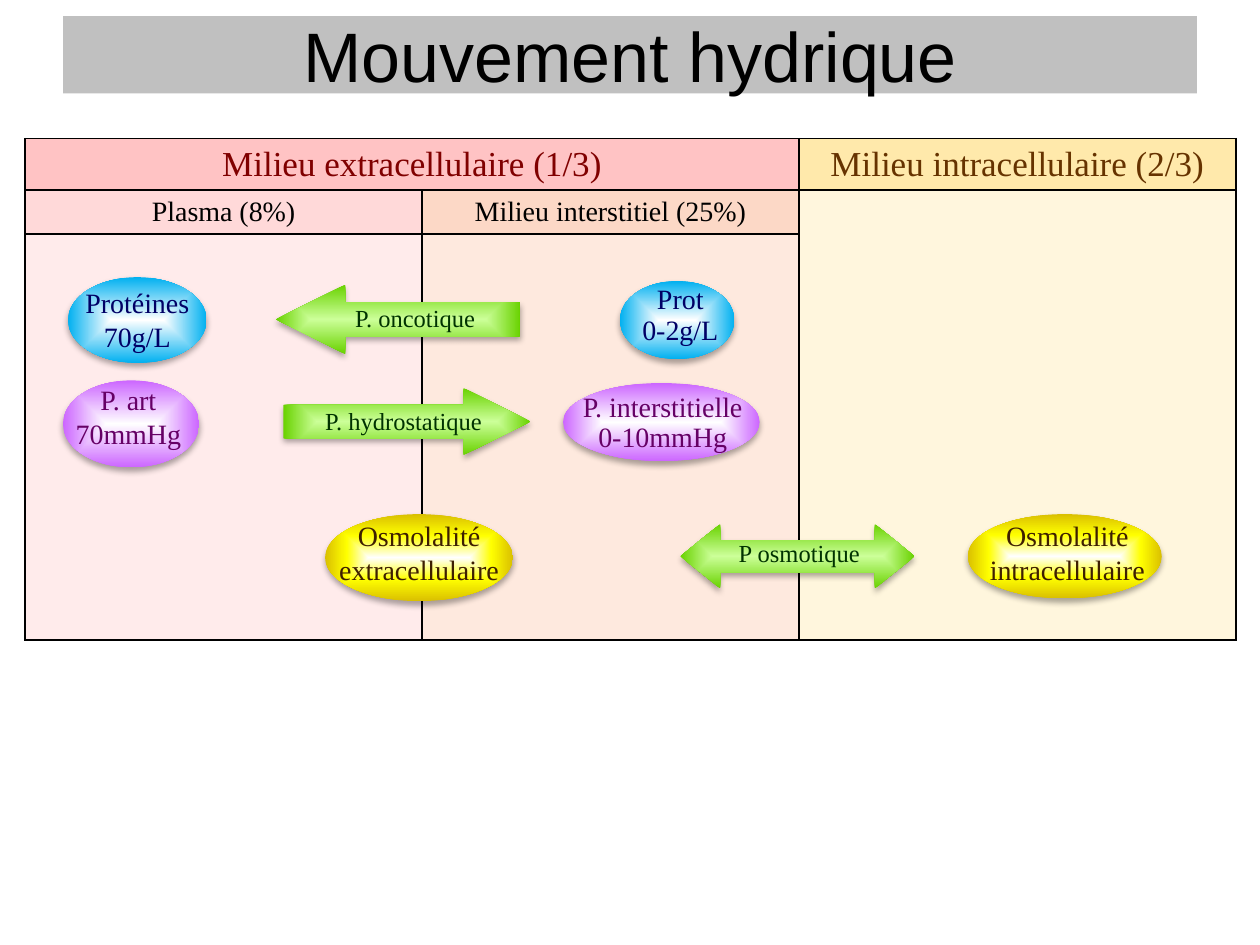
from lxml import etree
from pptx import Presentation
from pptx.dml.color import RGBColor
from pptx.enum.shapes import MSO_SHAPE
from pptx.enum.text import MSO_ANCHOR, PP_ALIGN
from pptx.oxml import parse_xml
from pptx.oxml.ns import nsdecls, qn
from pptx.util import Pt

BLACK = RGBColor(0, 0, 0)
WHITE = RGBColor(0xFF, 0xFF, 0xFF)
TITLE_GREY = RGBColor(0xC0, 0xC0, 0xC0)
EXTRA_HEAD, EXTRA_TEXT = RGBColor(0xFF, 0xC3, 0xC4), RGBColor(0x80, 0, 0)
INTRA_HEAD, INTRA_TEXT = RGBColor(0xFF, 0xE9, 0xAB), RGBColor(0x66, 0x33, 0)
PLASMA_HEAD, PLASMA_BODY = RGBColor(0xFF, 0xD9, 0xD9), RGBColor(0xFF, 0xEB, 0xEB)
INTER_HEAD, INTER_BODY = RGBColor(0xFC, 0xD8, 0xC6), RGBColor(0xFE, 0xE9, 0xDE)
INTRA_BODY = RGBColor(0xFF, 0xF6, 0xDD)
PALE_GREEN, GREEN = RGBColor(0xCC, 0xFF, 0x99), RGBColor(0x69, 0xD2, 0)
GREEN_TEXT = RGBColor(0, 0x33, 0)
BLUE, BLUE_TEXT = RGBColor(0, 0xB0, 0xF0), RGBColor(0, 0, 0x66)
PURPLE, PURPLE_TEXT = RGBColor(0xCC, 0x66, 0xFF), RGBColor(0x66, 0, 0x66)
YELLOW, GOLD = RGBColor(0xFF, 0xFF, 0), RGBColor(0xDA, 0xC0, 0)
BROWN_TEXT = RGBColor(0x3E, 0x1F, 0)

SERIF = "Times New Roman"
BLUE_GLOW = ((0, WHITE), (100, BLUE))
PURPLE_GLOW = ((0, WHITE), (100, PURPLE))
YELLOW_GLOW = ((0, WHITE), (50, YELLOW), (100, GOLD))
GREEN_GLOW = ((0, PALE_GREEN), (100, GREEN))

# text, ellipse box, text box, gradient, text colour, line spacing
BUBBLES = (
    ("Protéines 70g/L", (38.9, 158.4, 79.2, 49), (24.5, 159.8, 108, 46),
     BLUE_GLOW, BLUE_TEXT, 1),
    ("Prot\n0-2g/L", (354.2, 160.6, 65.5, 44.6), (343.4, 159.8, 90.7, 42.5),
     BLUE_GLOW, BLUE_TEXT, 0.9),
    ("P. art 70mmHg", (36, 217.4, 77.8, 49.7), (19.4, 215.3, 108, 46),
     PURPLE_GLOW, PURPLE_TEXT, 1),
    ("P. interstitielle 0-10mmHg", (321.8, 218.9, 112.3, 44.6),
     (324.7, 221, 108, 42.5), PURPLE_GLOW, PURPLE_TEXT, 0.9),
    ("Osmolalité extracellulaire", (185.8, 293.8, 107.3, 49.7),
     (185.8, 293, 107.3, 46), YELLOW_GLOW, BROWN_TEXT, 1),
    ("Osmolalité intracellulaire", (553, 293.8, 110.9, 48.2),
     (549.4, 293, 121, 46), YELLOW_GLOW, BROWN_TEXT, 1),
)

# text, preset, head length ratio, arrow box, text box, line spacing
ARROWS = (
    ("P. oncotique", MSO_SHAPE.LEFT_ARROW, 1, (157.7, 162.7, 139.7, 39.6),
     (172.1, 174.2, 130.3, 17.3), 0.9),
    ("P. hydrostatique", MSO_SHAPE.RIGHT_ARROW, 1, (162, 221.8, 141.1, 38.2),
     (170.6, 231.1, 120.2, 18.7), 1),
    ("P osmotique", MSO_SHAPE.LEFT_RIGHT_ARROW, 0.62, (388.8, 299.5, 133.9, 36.7),
     (385.9, 306.7, 141.8, 18.7), 1),
)


def box(lengths):
    """Turn a tuple of points into lengths."""
    return [Pt(length) for length in lengths]


def write(frame, text, size, color, font=SERIF, spacing=None):
    """Fill a text frame with centred paragraphs, one per line of text."""
    frame.word_wrap = True
    frame.text = text
    for paragraph in frame.paragraphs:
        paragraph.alignment = PP_ALIGN.CENTER
        paragraph.line_spacing = spacing
        for run in paragraph.runs:
            run.font.size, run.font.name = Pt(size), font
            run.font.color.rgb = color


def set_margins(target, side, edge):
    """Set the inner margins of a text frame or a cell."""
    target.margin_left = target.margin_right = Pt(side)
    target.margin_top = target.margin_bottom = Pt(edge)


def add_glow_shape(shapes, preset, place, stops, path):
    """Add a shape with a centred gradient and a soft shadow."""
    shape = shapes.add_shape(preset, *box(place))
    shape.line.fill.background()
    shape.fill.background()
    stop_xml = "".join(
        f'<a:gs pos="{pos * 1000}"><a:srgbClr val="{color}"/></a:gs>'
        for pos, color in stops)
    properties = shape._element.spPr
    properties.replace(properties.find(qn("a:noFill")), parse_xml(
        f'<a:gradFill {nsdecls("a")} rotWithShape="1"><a:gsLst>{stop_xml}</a:gsLst>'
        f'<a:path path="{path}"><a:fillToRect l="50000" t="50000" r="50000" '
        'b="50000"/></a:path></a:gradFill>'))
    shape.shadow.inherit = False
    properties.find(qn("a:effectLst")).append(parse_xml(
        f'<a:outerShdw {nsdecls("a")} blurRad="{Pt(3.5)}" dist="{Pt(2.2)}" '
        'dir="5400000" rotWithShape="0"><a:srgbClr val="000000">'
        '<a:alpha val="32000"/></a:srgbClr></a:outerShdw>'))
    return shape


def add_label(shapes, place, text, size, color, spacing):
    """Add a centred text box and return its frame."""
    frame = shapes.add_textbox(*box(place)).text_frame
    write(frame, text, size, color, spacing=spacing)
    return frame


def add_bubble(slide, text, place, text_place, stops, color, spacing):
    """Add a glowing ellipse grouped with its label."""
    shapes = slide.shapes.add_group_shape().shapes
    add_glow_shape(shapes, MSO_SHAPE.OVAL, place, stops, "shape")
    add_label(shapes, text_place, text, 16, color, spacing)


def add_arrow(slide, text, preset, head, place, text_place, spacing):
    """Add a green block arrow grouped with its label."""
    shapes = slide.shapes.add_group_shape().shapes
    arrow = add_glow_shape(shapes, preset, place, GREEN_GLOW, "rect")
    arrow.adjustments[0], arrow.adjustments[1] = 0.5, head
    frame = add_label(shapes, text_place, text, 14, GREEN_TEXT, spacing)
    set_margins(frame, 1.4, 0.7)


def add_title(slide, text):
    """Place the title on its grey band."""
    title = slide.shapes.title
    title.left, title.top, title.width, title.height = box((36, 9.2, 648, 44.2))
    title.fill.solid()
    title.fill.fore_color.rgb = TITLE_GREY
    write(title.text_frame, text, 40, BLACK, "Arial")
    title.text_frame.vertical_anchor = MSO_ANCHOR.MIDDLE


def style_cell(cell, fill):
    """Give a cell its fill and thin black borders."""
    cell.fill.solid()
    cell.fill.fore_color.rgb = fill
    properties = cell._tc.get_or_add_tcPr()
    for index, side in enumerate("LRTB"):
        line = etree.Element(qn(f"a:ln{side}"), w=str(Pt(1)))
        solid = etree.SubElement(line, qn("a:solidFill"))
        etree.SubElement(solid, qn("a:srgbClr"), val=str(BLACK))
        properties.insert(index, line)


def add_compartments(slide):
    """Add the table of body fluid compartments."""
    widths, heights = (226.8, 215.3, 249.8), (29.4, 25.2, 231.8)
    table = slide.shapes.add_table(
        3, 3, *box((14.4, 79.2, sum(widths), sum(heights)))).table
    table.first_row = table.horz_banding = False
    for column, width in zip(table.columns, widths):
        column.width = Pt(width)
    for row, height in zip(table.rows, heights):
        row.height = Pt(height)
    fills = ((EXTRA_HEAD, EXTRA_HEAD, INTRA_HEAD),
             (PLASMA_HEAD, INTER_HEAD, INTRA_BODY),
             (PLASMA_BODY, INTER_BODY, INTRA_BODY))
    for row, row_fills in enumerate(fills):
        for column, fill in enumerate(row_fills):
            style_cell(table.cell(row, column), fill)
    table.cell(0, 0).merge(table.cell(0, 1))
    table.cell(1, 2).merge(table.cell(2, 2))
    for row, column, text, size, color in (
            (0, 0, "Milieu extracellulaire (1/3)", 20, EXTRA_TEXT),
            (0, 2, "Milieu intracellulaire (2/3)", 20, INTRA_TEXT),
            (1, 0, "Plasma (8%)", 16, BLACK),
            (1, 1, "Milieu interstitiel (25%)", 16, BLACK)):
        cell = table.cell(row, column)
        write(cell.text_frame, text, size, color)
        set_margins(cell, 1.4, 3)
        cell.vertical_anchor = MSO_ANCHOR.MIDDLE


def main():
    """Build and save the slide."""
    presentation = Presentation()
    presentation.slide_width, presentation.slide_height = Pt(720), Pt(540)
    slide = presentation.slides.add_slide(presentation.slide_layouts[5])
    add_title(slide, "Mouvement hydrique")
    add_compartments(slide)
    for arrow in ARROWS:
        add_arrow(slide, *arrow)
    for bubble in BUBBLES:
        add_bubble(slide, *bubble)
    presentation.save("out.pptx")


main()
